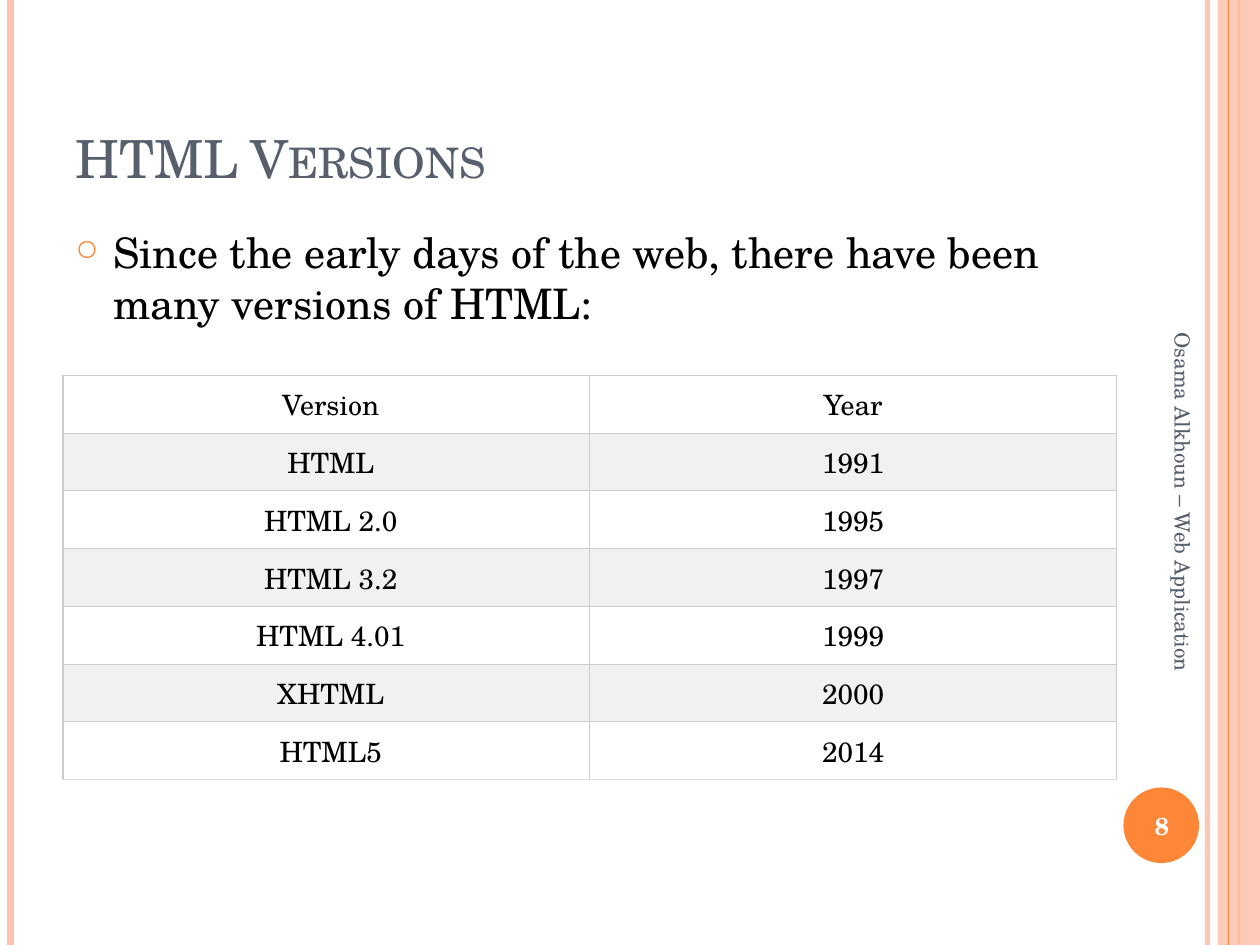
from lxml import etree
from pptx import Presentation
from pptx.dml.color import RGBColor
from pptx.enum import shapes, text
from pptx.oxml import parse_xml
from pptx.oxml.ns import nsdecls, qn
from pptx.util import Pt

FONT = "TeX Gyre Schola"
COLORS = {
    "orange": "FE8637", "peach": "FEC3AE", "slate": "575F6D", "black": "000000",
    "white": "FFFFFF", "band": "F1F1F1", "border": "CCCCCC", "last_border": "DDDDDD",
}
WIDTH, HEIGHT = 720, 540

TITLE = "HTML Versions"
INTRO = "Since the early days of the web, there have been many versions of HTML:"
FOOTER = "Osama Alkhoun – Web Application"
PAGE = "8"
VERSIONS = [
    ("Version", "Year"),
    ("HTML", "1991"),
    ("HTML 2.0", "1995"),
    ("HTML 3.2", "1997"),
    ("HTML 4.01", "1999"),
    ("XHTML", "2000"),
    ("HTML5", "2014"),
]
# x, line width, colour, opacity in percent
LINES_BEHIND = [(690, 3, "peach", 93), (6, 4.5, "peach", 100), (708, 1.5, "orange", 100)]
LINES_FRONT = [(702, 0.75, "orange", 100)]
TABLE_BOX = (36, 214.5, 602, 231)


def rgb(name):
    return RGBColor.from_string(COLORS[name])


def set_opacity(fill_parent, percent):
    color = fill_parent.find(".//" + qn("a:srgbClr"))
    etree.SubElement(color, qn("a:alpha"), val=str(percent * 1000))


def add_stripes(slide, stripes):
    for x, width, color, opacity in stripes:
        line = slide.shapes.add_connector(
            shapes.MSO_CONNECTOR.STRAIGHT, Pt(x), Pt(0), Pt(x), Pt(HEIGHT))
        line.line.width = Pt(width)
        line.line.color.rgb = rgb(color)
        properties = line._element.spPr
        if opacity < 100:
            set_opacity(properties, opacity)
        etree.SubElement(properties, qn("a:effectLst"))


def add_filled(slide, kind, box, color):
    shape = slide.shapes.add_shape(kind, *map(Pt, box))
    shape.shadow.inherit = False
    shape.fill.solid()
    shape.fill.fore_color.rgb = rgb(color)
    shape.line.fill.background()
    return shape


def format_text(frame, content, size, color, align=text.PP_ALIGN.LEFT, bold=False):
    frame.text = content
    paragraph = frame.paragraphs[0]
    paragraph.alignment = align
    font = paragraph.runs[0].font
    font.name, font.size, font.bold = FONT, Pt(size), bold
    font.color.rgb = rgb(color)
    return paragraph


def add_text(slide, box, anchor, *style, **options):
    shape = slide.shapes.add_textbox(*map(Pt, box))
    shape.text_frame.word_wrap = True
    shape.text_frame.vertical_anchor = anchor
    return shape, format_text(shape.text_frame, *style, **options)


def add_bullet(paragraph):
    properties = paragraph._p.get_or_add_pPr()
    properties.set("marL", str(Pt(21.6)))
    properties.set("indent", str(-Pt(21.6)))
    color = etree.SubElement(properties, qn("a:buClr"))
    etree.SubElement(color, qn("a:srgbClr"), val=COLORS["orange"])
    etree.SubElement(properties, qn("a:buSzPct"), val="70000")
    etree.SubElement(properties, qn("a:buChar"), char="○")


def set_borders(cell, bottom):
    sides = {"lnL": "border", "lnR": "border", "lnT": "border", "lnB": bottom}
    properties = cell._tc.get_or_add_tcPr()
    for index, (side, color) in enumerate(sides.items()):
        properties.insert(index, parse_xml(
            f'<a:{side} {nsdecls("a")} w="{Pt(0.75)}"><a:solidFill>'
            f'<a:srgbClr val="{COLORS[color]}"/></a:solidFill></a:{side}>'))


def add_version_table(slide):
    last = len(VERSIONS) - 1
    table = slide.shapes.add_table(
        len(VERSIONS), len(VERSIONS[0]), *map(Pt, TABLE_BOX)).table
    for row_index, values in enumerate(VERSIONS):
        for column_index, value in enumerate(values):
            cell = table.cell(row_index, column_index)
            cell.margin_left = Pt(5 if column_index else 10)
            cell.margin_right = cell.margin_top = cell.margin_bottom = Pt(5)
            cell.vertical_anchor = text.MSO_ANCHOR.MIDDLE
            cell.fill.solid()
            cell.fill.fore_color.rgb = rgb("band" if row_index % 2 else "white")
            set_borders(cell, "last_border" if row_index == last else "border")
            format_text(cell.text_frame, value, 16, "black", text.PP_ALIGN.CENTER)


def main():
    presentation = Presentation()
    presentation.slide_width, presentation.slide_height = Pt(WIDTH), Pt(HEIGHT)
    slide = presentation.slides.add_slide(presentation.slide_layouts[6])
    anchor = text.MSO_ANCHOR

    add_filled(slide, shapes.MSO_SHAPE.OVAL, (642, 450, 43.2, 43.2), "orange")
    add_stripes(slide, LINES_BEHIND)
    band = add_filled(slide, shapes.MSO_SHAPE.RECTANGLE, (696, 0, 24, HEIGHT), "peach")
    set_opacity(band._element.spPr, 87)
    add_stripes(slide, LINES_FRONT)

    _, title = add_text(slide, (36, 21.6, 588, 90), anchor.BOTTOM, TITLE, 30, "slate")
    title.runs[0].font._element.set("cap", "small")
    _, intro = add_text(slide, (36, 126, 588, 384), anchor.TOP, INTRO, 24, "black")
    intro.space_before = Pt(6)
    add_bullet(intro)
    add_version_table(slide)

    footer, _ = add_text(slide, (550, 294.5, 252, 28.8), anchor.MIDDLE, FOOTER, 12, "slate")
    footer.rotation = 90
    add_text(slide, (640, 451.5, 48, 41), anchor.MIDDLE, PAGE, 14, "white",
             align=text.PP_ALIGN.CENTER, bold=True)
    presentation.save("out.pptx")


if __name__ == "__main__":
    main()
